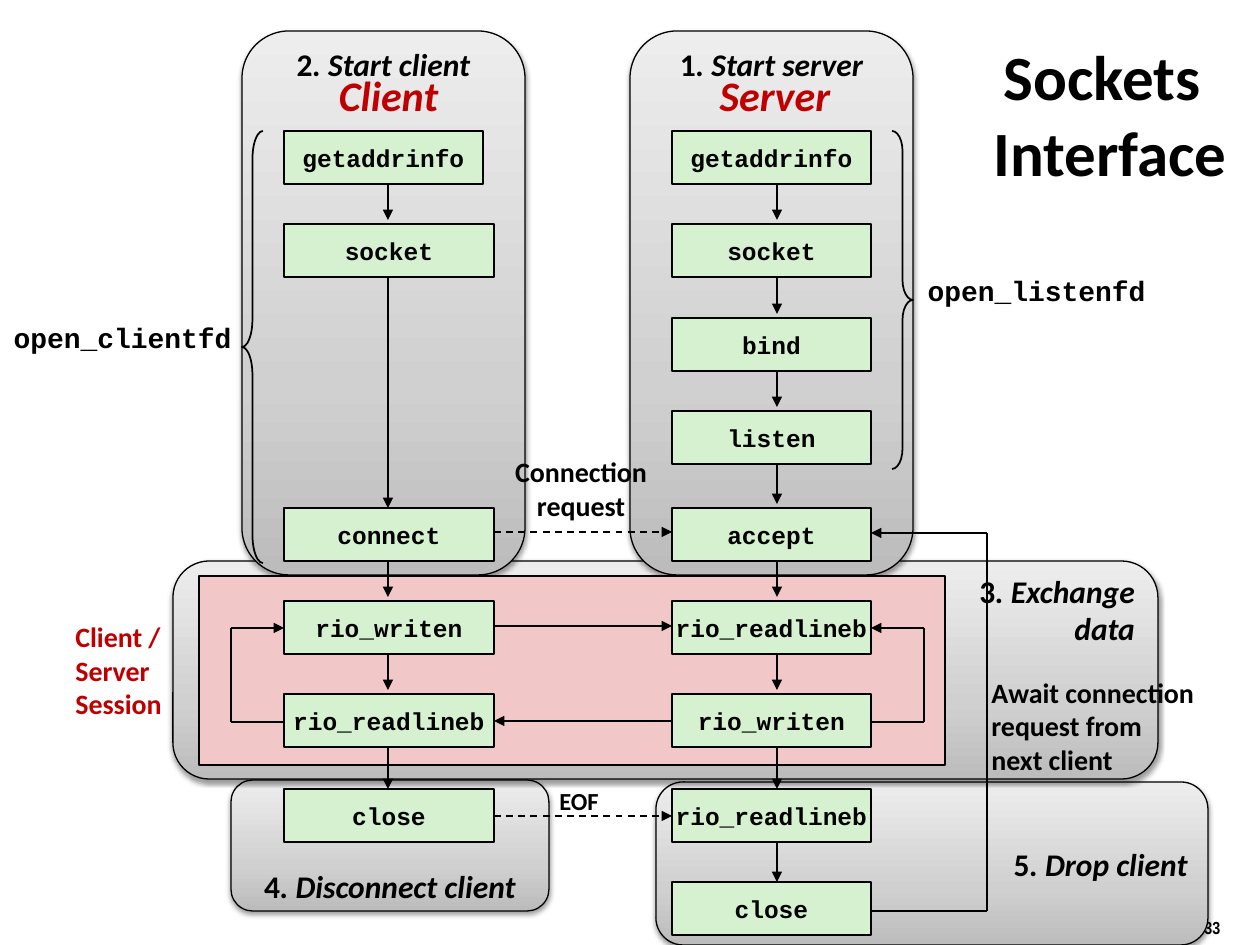
import copy
import dataclasses

import pptx
import pptx.dml.color
import pptx.enum.dml
import pptx.enum.shapes
import pptx.enum.text
import pptx.oxml.ns
import pptx.oxml.xmlchemy
import pptx.util

SHAPE = pptx.enum.shapes.MSO_SHAPE
ANCHOR = pptx.enum.text.MSO_ANCHOR
ALIGN = pptx.enum.text.PP_ALIGN
EMU_PER_PX = 914400 / 126


def px(length):
    return pptx.util.Emu(round(length * EMU_PER_PX))


def rgb(value):
    return pptx.dml.color.RGBColor.from_string(value)


def add_element(parent, tag, **attributes):
    element = pptx.oxml.xmlchemy.OxmlElement(tag)
    for name, value in attributes.items():
        element.set(name, str(value))
    parent.append(element)
    return element


@dataclasses.dataclass(frozen=True)
class Theme:
    ink: str = "000000"
    accent: str = "C00000"
    call: str = "D5F1CF"
    session: str = "F1C7C7"
    gradient: tuple = ((0, "BCBCBC"), (0.35, "D0D0D0"), (1, "EDEDED"))
    sans: str = "Calibri"
    code: str = "Courier New"
    narrow: str = "Arial Narrow"
    title_size: int = 36
    role_size: int = 24
    step_size: int = 18
    label_size: int = 16
    call_size: int = 14
    number_size: int = 10


class SocketsPage:
    def __init__(self, page, theme):
        self.page = page
        self.theme = theme

    def fill_text(self, frame, lines, size, font=None, color=None, align=ALIGN.LEFT,
                  anchor=ANCHOR.MIDDLE, wrap=False, insets=(6, 6), italic=False):
        """Each line is a list of (text, italic) spans, or a plain string."""
        frame.word_wrap = wrap
        frame.vertical_anchor = anchor
        frame.margin_left = frame.margin_right = pptx.util.Inches(0.1)
        frame.margin_top, frame.margin_bottom = px(insets[0]), px(insets[1])
        for index, line in enumerate(lines):
            para = frame.add_paragraph() if index else frame.paragraphs[0]
            para.alignment = align
            spans = [(line, italic)] if isinstance(line, str) else line
            for text, slanted in spans:
                span = para.add_run()
                span.text = text
                span.font.name = font or self.theme.sans
                span.font.size = pptx.util.Pt(size)
                span.font.bold = True
                span.font.italic = slanted
                span.font.color.rgb = rgb(color or self.theme.ink)

    def label(self, left, top, width, height, lines, size, **style):
        box = self.page.shapes.add_textbox(px(left), px(top), px(width), px(height))
        self.fill_text(box.text_frame, lines, size, **style)
        return box

    def shape(self, kind, left, top, width, height, fill=None, weight=1):
        box = self.page.shapes.add_shape(kind, px(left), px(top), px(width), px(height))
        box.shadow.inherit = False
        if fill:
            box.fill.solid()
            box.fill.fore_color.rgb = rgb(fill)
        else:
            box.fill.background()
        box.line.color.rgb = rgb(self.theme.ink)
        box.line.width = pptx.util.Pt(weight)
        return box

    def panel(self, left, top, width, height, lines, align, anchor, insets=(0, 6)):
        box = self.shape(SHAPE.ROUNDED_RECTANGLE, left, top, width, height, weight=0.75)
        box.fill.gradient()
        box.fill.gradient_angle = 90
        properties = box._element.spPr
        stops = properties.find(".//" + pptx.oxml.ns.qn("a:gsLst"))
        stops.append(copy.deepcopy(stops[-1]))
        for stop, (position, color) in zip(box.fill.gradient_stops, self.theme.gradient):
            stop.position = position
            stop.color.rgb = rgb(color)
        effects = properties.find(pptx.oxml.ns.qn("a:effectLst"))
        shadow = add_element(effects, "a:outerShdw", blurRad=40000, dist=20000,
                             dir=5400000, rotWithShape=0)
        shade = add_element(shadow, "a:srgbClr", val=self.theme.ink)
        add_element(shade, "a:alpha", val=38000)
        self.fill_text(box.text_frame, lines, self.theme.step_size, align=align,
                       anchor=anchor, wrap=True, insets=insets)

    def call(self, left, top, width, name):
        box = self.shape(SHAPE.RECTANGLE, left, top, width, CALL_HEIGHT, self.theme.call)
        self.fill_text(box.text_frame, [name], self.theme.call_size,
                       font=self.theme.code, align=ALIGN.CENTER)

    def route(self, *points, dashed=False):
        """Straight segments through the points, with an arrowhead at the end."""
        for start, end in zip(points, points[1:]):
            line = self.page.shapes.add_connector(
                pptx.enum.shapes.MSO_CONNECTOR.STRAIGHT, *map(px, start + end))
            line.line.color.rgb = rgb(self.theme.ink)
            line.line.width = pptx.util.Pt(1)
            if dashed:
                line.line.dash_style = pptx.enum.dml.MSO_LINE.DASH
            if end == points[-1]:
                outline = line._element.spPr.find(pptx.oxml.ns.qn("a:ln"))
                add_element(outline, "a:tailEnd", type="triangle")
            add_element(line._element.spPr, "a:effectLst")

    def brace(self, kind, left, top, height, curve):
        box = self.shape(kind, left, top, 21, height)
        box.adjustments[0] = curve
        box.adjustments[1] = 0.5


# Rows of calls, shared by the client and server columns
ROWS = (131, 224, 318, 411, 508, 601, 694, 789, 882)
CALL_HEIGHT = 53
CLIENT_LEFT, CLIENT_WIDTH, CLIENT_AXIS = 284, 210, 388
SERVER_LEFT, SERVER_WIDTH, SERVER_AXIS = 672, 199, 777
CLIENT_RIGHT = CLIENT_LEFT + CLIENT_WIDTH
SERVER_RIGHT = SERVER_LEFT + SERVER_WIDTH
SERVER_CALLS = ("getaddrinfo", "socket", "bind", "listen", "accept",
                "rio_readlineb", "rio_writen", "rio_readlineb", "close")
CLIENT_CALLS = {0: "getaddrinfo", 1: "socket", 4: "connect",
                5: "rio_writen", 6: "rio_readlineb", 7: "close"}


def main():
    deck = pptx.Presentation()
    deck.slide_width, deck.slide_height = px(1260), px(945)
    theme = Theme()
    page = SocketsPage(deck.slides.add_slide(deck.slide_layouts[6]), theme)

    # Page number, partly behind the last panel
    page.label(1192, 911, 41, 33, ["33"], theme.number_size, font=theme.narrow,
               anchor=ANCHOR.TOP)

    # Numbered panels
    page.panel(656, 782, 552, 163, [[("5", False), (". Drop client", True)]],
               ALIGN.RIGHT, ANCHOR.MIDDLE, insets=(0, 0))
    page.panel(231, 780, 318, 131, [[("4", False), (". Disconnect client", True)]],
               ALIGN.CENTER, ANCHOR.BOTTOM, insets=(0, 0))
    page.panel(173, 561, 985, 218,
               [[("3", False), (". Exchange", True)], [("data", True)]],
               ALIGN.RIGHT, ANCHOR.TOP)
    for left, number, step in ((242, "2", ". Start client"), (630, "1", ". Start server")):
        page.panel(left, 31, 283, 544, [[(number, False), (step, True)]],
                   ALIGN.CENTER, ANCHOR.TOP)
    page.shape(SHAPE.RECTANGLE, 199, 576, 746, 189, theme.session)

    # Title and column names
    title = page.label(955, 31, 294, 165, ["Sockets Interface"], theme.title_size,
                       align=ALIGN.CENTER, wrap=True)
    indent = title.text_frame.paragraphs[0]._p.get_or_add_pPr()
    indent.set("marL", str(px(16)))
    indent.set("indent", str(-px(16)))
    for left, width, role in ((318, 141, "Client"), (700, 150, "Server")):
        page.label(left, 63, width, 63, [role], theme.role_size, color=theme.accent,
                   align=ALIGN.CENTER, italic=True)

    # Downward flow in both columns
    for axis, rows in ((CLIENT_AXIS, list(CLIENT_CALLS)), (SERVER_AXIS, range(len(ROWS)))):
        for row, following in zip(rows, rows[1:]):
            gap = 4 if following == row + 1 and row < 6 else 0
            page.route((axis, ROWS[row] + CALL_HEIGHT), (axis, ROWS[following] - gap))

    # Messages between the columns
    page.route((CLIENT_RIGHT, 532), (SERVER_LEFT, 532), dashed=True)
    page.route((CLIENT_RIGHT, 626), (SERVER_LEFT, 626))
    page.route((SERVER_LEFT, 721), (CLIENT_RIGHT, 721))
    page.route((CLIENT_RIGHT, 816), (SERVER_LEFT, 816), dashed=True)

    # Loops back to an earlier call
    for edge, turn, start, end in ((SERVER_RIGHT, 924, 722, 628),
                                   (CLIENT_LEFT, 231, 722, 628),
                                   (SERVER_RIGHT, 987, 911, 533)):
        page.route((edge, start), (turn, start), (turn, end), (edge, end))

    # Calls
    for row, name in enumerate(SERVER_CALLS):
        page.call(SERVER_LEFT, ROWS[row], SERVER_WIDTH, name)
    for row, name in CLIENT_CALLS.items():
        page.call(CLIENT_LEFT, ROWS[row], CLIENT_WIDTH if row else SERVER_WIDTH, name)

    # Helper functions spanning several calls
    page.brace(SHAPE.RIGHT_BRACE, 892, 131, 338, 0.96)
    page.brace(SHAPE.LEFT_BRACE, 242, 131, 432, 1.33)
    for left, top, name in ((915, 268, "open_listenfd"), (1, 315, "open_clientfd")):
        page.label(left, top, 243, 45, [name], theme.label_size, font=theme.code,
                   align=ALIGN.CENTER)

    # Remarks
    page.label(63, 580, 116, 180, ["Client / Server", "Session"], theme.label_size,
               color=theme.accent, wrap=True)
    page.label(489, 449, 184, 79, ["Connection", "request"], theme.label_size,
               align=ALIGN.CENTER)
    page.label(543, 780, 72, 42, ["EOF"], theme.call_size, align=ALIGN.CENTER)
    page.label(979, 669, 268, 113, ["Await connection", "request from", "next client"],
               theme.label_size)

    deck.save("out.pptx")


if __name__ == "__main__":
    main()
